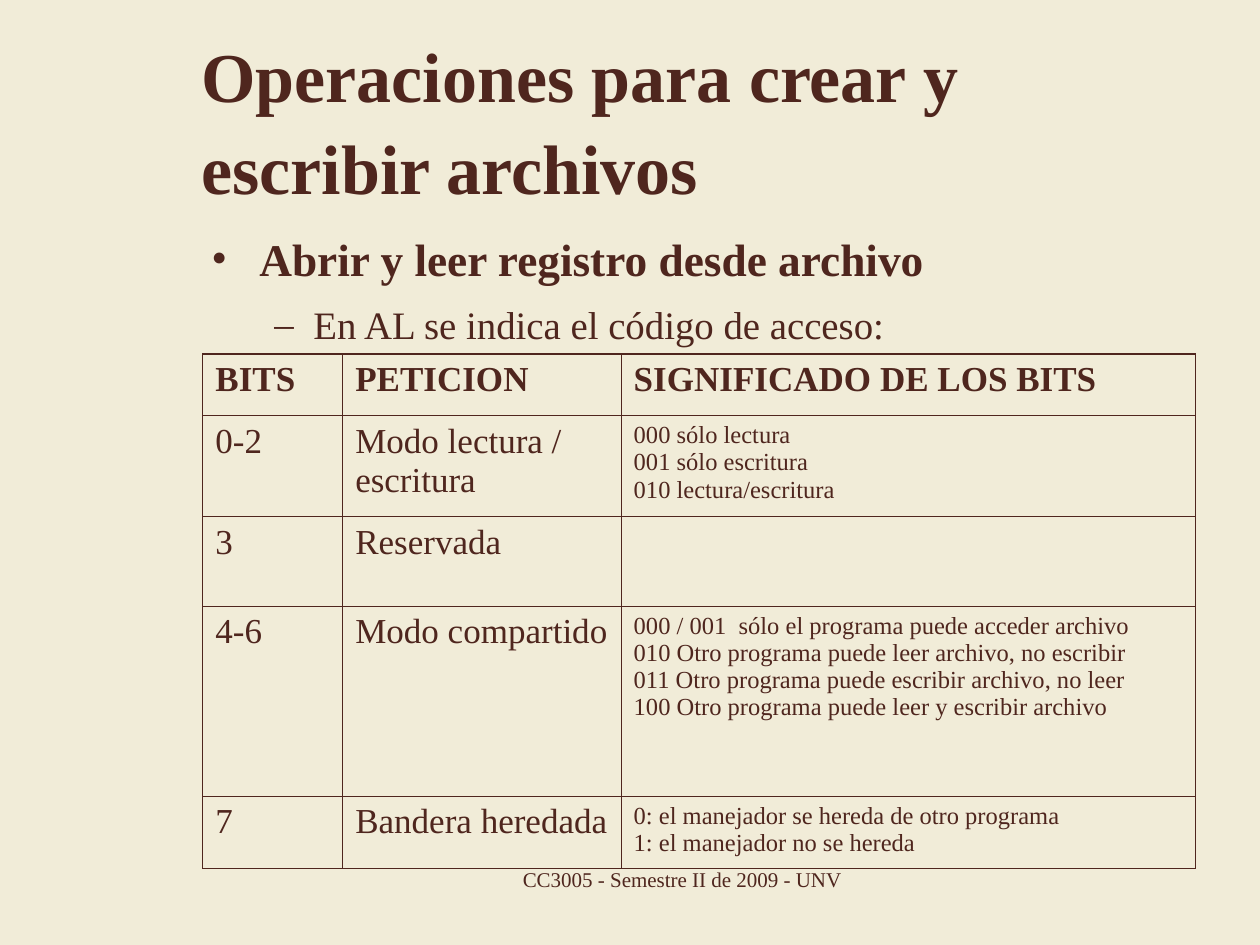
from lxml.etree import SubElement
from pptx import Presentation
from pptx.dml.color import RGBColor
from pptx.enum.text import MSO_ANCHOR, MSO_AUTO_SIZE, PP_ALIGN
from pptx.oxml.ns import qn
from pptx.util import Inches, Pt

FONT = "Times New Roman"
INK = "4F261E"
PAPER = "F1ECD8"


def color(value):
    return RGBColor.from_string(value)


def write(frame, lines, size, bold=False, align=PP_ALIGN.LEFT, spacing=None):
    frame.word_wrap = True
    for index, line in enumerate(lines):
        para = frame.paragraphs[0] if index == 0 else frame.add_paragraph()
        para.alignment = align
        para.line_spacing = spacing
        span = para.add_run()
        span.text = line
        span.font.name = FONT
        span.font.size = Pt(size)
        span.font.bold = bold
        span.font.color.rgb = color(INK)


deck = Presentation()
deck.slide_width = Inches(10)
deck.slide_height = Inches(7.5)
slide = deck.slides.add_slide(deck.slide_layouts[5])
slide.background.fill.solid()
slide.background.fill.fore_color.rgb = color(PAPER)

title = slide.shapes.title
title.left, title.top = Inches(1.5), Inches(0.3)
title.width, title.height = Inches(8), Inches(1.25)
title.text_frame.auto_size = MSO_AUTO_SIZE.NONE
title.text_frame.vertical_anchor = MSO_ANCHOR.MIDDLE
write(title.text_frame, ["Operaciones para crear y escribir archivos"], 40,
      bold=True, spacing=1.09)

body = slide.shapes.add_textbox(Inches(1.58), Inches(1.75), Inches(7.04), Inches(1.13))
write(body.text_frame,
      ["Abrir y leer registro desde archivo", "En AL se indica el código de acceso:"],
      22.2, spacing=1.09)
heading, detail = body.text_frame.paragraphs
heading.runs[0].font.size = Pt(25.9)
heading.runs[0].font.bold = True
detail.level = 1
bullets = [(heading, "•", 0.38, 0.38, 7), (detail, "–", 0.81, 0.31, 6)]
for para, mark, margin, hanging, before in bullets:
    para.space_before = Pt(before)
    properties = para._p.get_or_add_pPr()
    properties.set("marL", str(Inches(margin)))
    properties.set("indent", str(-Inches(hanging)))
    bullet_color = SubElement(properties, qn("a:buClr"))
    SubElement(bullet_color, qn("a:srgbClr"), val=INK)
    SubElement(properties, qn("a:buFont"), typeface=FONT)
    SubElement(properties, qn("a:buChar"), char=mark)

rows = [
    ("BITS", "PETICION", ["SIGNIFICADO DE LOS BITS"]),
    ("0-2", "Modo lectura / escritura",
     ["000 sólo lectura", "001 sólo escritura", "010 lectura/escritura"]),
    ("3", "Reservada", []),
    ("4-6", "Modo compartido",
     ["000 / 001  sólo el programa puede acceder archivo",
      "010 Otro programa puede leer archivo, no escribir",
      "011 Otro programa puede escribir archivo, no leer",
      "100 Otro programa puede leer y escribir archivo"]),
    ("7", "Bandera heredada",
     ["0: el manejador se hereda de otro programa", "1: el manejador no se hereda"]),
]
widths = [1.11, 2.21, 4.56]
heights = [0.49, 0.78, 0.71, 1.51, 0.57]
table = slide.shapes.add_table(len(rows), len(widths), Inches(1.61), Inches(2.81),
                               Inches(sum(widths)), Inches(sum(heights))).table
table.horz_banding = False
table.first_row = False
for column, width in zip(table.columns, widths):
    column.width = Inches(width)
for row, height in zip(table.rows, heights):
    row.height = Inches(height)

for row_index, (bits, request, meanings) in enumerate(rows):
    header = row_index == 0
    for column_index, lines in enumerate([[bits], [request], meanings]):
        cell = table.cell(row_index, column_index)
        size = 20 if header or column_index < 2 else 14
        write(cell.text_frame, lines, size, bold=header)
        cell_properties = cell._tc.get_or_add_tcPr()
        for side in ("a:lnL", "a:lnR", "a:lnT", "a:lnB"):
            border = SubElement(cell_properties, qn(side), w=str(Pt(0.75)))
            border_fill = SubElement(border, qn("a:solidFill"))
            SubElement(border_fill, qn("a:srgbClr"), val=INK)
        cell.fill.background()

footer = slide.shapes.add_textbox(Inches(3.83), Inches(6.83), Inches(3.17), Inches(0.52))
write(footer.text_frame, ["CC3005 - Semestre II de 2009 - UNV"], 12, align=PP_ALIGN.CENTER)

deck.save("out.pptx")
